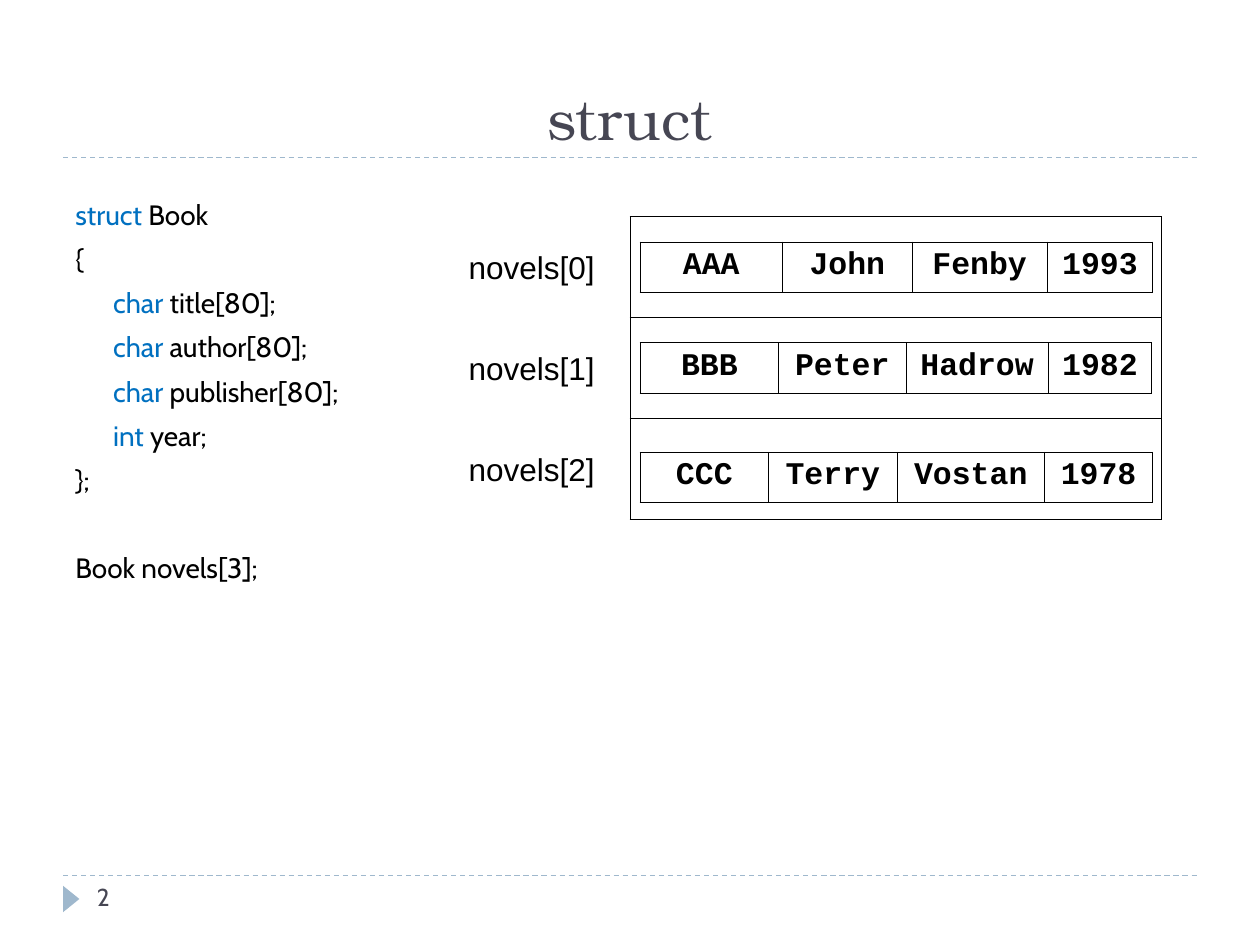
from dataclasses import dataclass

from lxml import etree
from pptx import Presentation
from pptx.dml.color import RGBColor
from pptx.enum.dml import MSO_LINE
from pptx.enum.shapes import MSO_CONNECTOR, MSO_SHAPE
from pptx.enum.text import MSO_ANCHOR, PP_ALIGN
from pptx.oxml.ns import qn
from pptx.util import Inches, Pt

STRAIGHT = MSO_CONNECTOR.STRAIGHT
TRIANGLE = MSO_SHAPE.ISOSCELES_TRIANGLE
DASH = MSO_LINE.DASH
CENTER, LEFT = PP_ALIGN.CENTER, PP_ALIGN.LEFT
TOP, BOTTOM = MSO_ANCHOR.TOP, MSO_ANCHOR.BOTTOM


@dataclass(frozen=True)
class Theme:
    accent: str = "9FB8CD"
    heading: str = "464653"
    keyword: str = "0070C0"
    ink: str = "000000"
    title_font: str = "TeX Gyre Bonum"
    body_font: str = "Cabin"
    label_font: str = "Arial"
    record_font: str = "Courier New"
    title_size: int = 32
    label_size: int = 18
    code_size: int = 16
    number_size: int = 14
    outer_border: float = 0.5
    inner_border: float = 0.23


@dataclass(frozen=True)
class CodeLine:
    keyword: str
    rest: str
    indent: float = 0
    space_before: float = 6


@dataclass(frozen=True)
class Record:
    values: tuple[str, ...]
    widths: tuple[float, ...]
    top: float


THEME = Theme()
CODE = (
    CodeLine("struct", " Book", space_before=0),
    CodeLine("", "{"),
    CodeLine("char", " title[80];", 0.3),
    CodeLine("char", " author[80];", 0.3),
    CodeLine("char", " publisher[80];", 0.3),
    CodeLine("int", " year;", 0.3),
    CodeLine("", "};"),
    CodeLine("", "Book novels[3];", space_before=31),
)
RECORDS = (
    Record(("AAA", "John", "Fenby", "1993"), (1.13, 1.03, 1.07, 0.84), 1.92),
    Record(("BBB", "Peter", "Hadrow", "1982"), (1.1, 1.01, 1.13, 0.82), 2.72),
    Record(("CCC", "Terry", "Vostan", "1978"), (1.02, 1.02, 1.17, 0.86), 3.59),
)
ARRAY_TOP, ARRAY_ROW, RECORD_HEIGHT = 1.72, 0.8, 0.4


def style_font(font, name: str, size: float, color: str, bold: bool = False) -> None:
    font.name, font.size, font.bold = name, Pt(size), bold
    font.color.rgb = RGBColor.from_string(color)


def add_box(page, left: float, top: float, width: float, height: float, anchor=TOP):
    box = page.shapes.add_textbox(Inches(left), Inches(top), Inches(width), Inches(height))
    box.text_frame.word_wrap = True
    box.text_frame.vertical_anchor = anchor
    return box


def add_label(page, text: str, place: tuple[float, ...], font: str, size: float,
              color: str, align=LEFT, anchor=TOP) -> None:
    para = add_box(page, *place, anchor=anchor).text_frame.paragraphs[0]
    para.text = text
    para.alignment = align
    style_font(para.runs[0].font, font, size, color)


def add_rule(page, y: float) -> None:
    rule = page.shapes.add_connector(STRAIGHT, Inches(0.5), Inches(y), Inches(9.5), Inches(y))
    rule.line.color.rgb = RGBColor.from_string(THEME.accent)
    rule.line.width = Pt(0.75)
    rule.line.dash_style = DASH
    etree.SubElement(rule._element.spPr, qn("a:effectLst"))


def add_code(page, lines: tuple[CodeLine, ...]) -> None:
    frame = add_box(page, 0.5, 1.52, 3.1, 3.3).text_frame
    for index, line in enumerate(lines):
        para = frame.add_paragraph() if index else frame.paragraphs[0]
        if line.indent:
            para._p.get_or_add_pPr().set("marL", str(Inches(line.indent)))
        if line.space_before:
            para.space_before = Pt(line.space_before)
        for text, color in ((line.keyword, THEME.keyword), (line.rest, THEME.ink)):
            if text:
                span = para.add_run()
                span.text = text
                style_font(span.font, THEME.body_font, THEME.code_size, color)


def set_borders(cell, widths: tuple[float, ...]) -> None:
    """Widths run left, right, top, bottom."""
    properties = cell._tc.get_or_add_tcPr()
    for index, (side, width) in enumerate(zip("LRTB", widths)):
        border = etree.Element(qn(f"a:ln{side}"), w=str(Pt(width)))
        fill = etree.SubElement(border, qn("a:solidFill"))
        etree.SubElement(fill, qn("a:srgbClr"), val=THEME.ink)
        properties.insert(index, border)


def add_grid(page, left: float, top: float, widths: tuple[float, ...], row_height: float,
             row_count: int):
    column_count = len(widths)
    grid = page.shapes.add_table(row_count, column_count, Inches(left), Inches(top),
                                 Inches(sum(widths)), Inches(row_height * row_count)).table
    grid.first_row = grid.horz_banding = False
    for column, width in zip(grid.columns, widths):
        column.width = Inches(width)
    outer, inner = THEME.outer_border, THEME.inner_border
    for r, row in enumerate(grid.rows):
        row.height = Inches(row_height)
        for c, cell in enumerate(row.cells):
            cell.fill.background()
            at_edges = (c == 0, c == column_count - 1, r == 0, r == row_count - 1)
            set_borders(cell, tuple(outer if edge else inner for edge in at_edges))
    return grid


def add_record(page, record: Record) -> None:
    grid = add_grid(page, 5.08, record.top, record.widths, RECORD_HEIGHT, 1)
    for cell, value in zip(grid.rows[0].cells, record.values):
        para = cell.text_frame.paragraphs[0]
        para.text = value
        para.alignment = CENTER
        para.line_spacing = 0.94
        style_font(para.runs[0].font, THEME.record_font, THEME.label_size, THEME.ink, True)


def main() -> None:
    deck = Presentation()
    deck.slide_width, deck.slide_height = Inches(10), Inches(7.5)
    page = deck.slides.add_slide(deck.slide_layouts[6])

    # Rules, page marker and number
    for y in (6.95, 1.25):
        add_rule(page, y)
    marker = page.shapes.add_shape(TRIANGLE, Inches(0.46), Inches(7.07), Inches(0.21), Inches(0.13))
    marker.rotation = 90
    marker.shadow.inherit = False
    marker.fill.solid()
    marker.fill.fore_color.rgb = RGBColor.from_string(THEME.accent)
    marker.line.fill.background()
    add_label(page, "2", (0.67, 6.95, 2.17, 0.4), THEME.body_font, THEME.number_size, THEME.heading)

    # Title and structure definition
    add_label(page, "struct", (0.5, 0.17, 9, 1.08), THEME.title_font, THEME.title_size,
              THEME.heading, CENTER, BOTTOM)
    add_code(page, CODE)

    # Array of records
    add_grid(page, 5, ARRAY_TOP, (4.22,), ARRAY_ROW, len(RECORDS))
    for index, record in enumerate(RECORDS):
        label_top = ARRAY_TOP + 0.2 + index * ARRAY_ROW
        add_label(page, f"novels[{index}]", (3.62, label_top, 1.38, 0.4), THEME.label_font,
                  THEME.label_size, THEME.ink)
        add_record(page, record)

    deck.save("out.pptx")


if __name__ == "__main__":
    main()
